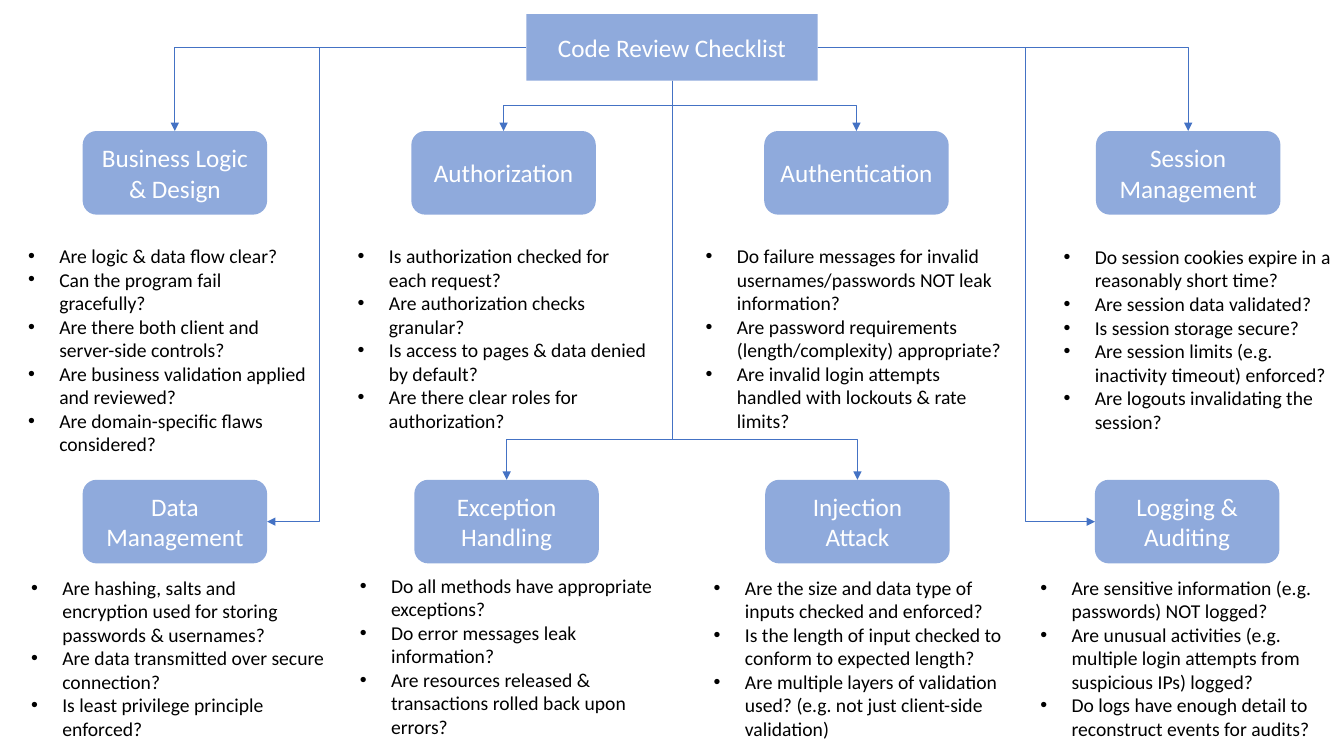
from dataclasses import dataclass

from lxml.etree import SubElement
from pptx import Presentation
from pptx.dml.color import RGBColor
from pptx.enum.shapes import MSO_CONNECTOR, MSO_SHAPE
from pptx.enum.text import MSO_ANCHOR, MSO_AUTO_SIZE, PP_ALIGN
from pptx.oxml import parse_xml
from pptx.oxml.ns import nsdecls, qn
from pptx.util import Inches, Pt


@dataclass(frozen=True)
class Theme:
    """Colours, font and type sizes of the slide."""
    node: RGBColor = RGBColor(0x8F, 0xAA, 0xDC)
    node_text: RGBColor = RGBColor(0xFF, 0xFF, 0xFF)
    body_text: RGBColor = RGBColor(0, 0, 0)
    connector: RGBColor = RGBColor(0x44, 0x72, 0xC4)
    font: str = "Calibri"
    node_size: Pt = Pt(18)
    body_size: Pt = Pt(14)
    line_width: Pt = Pt(0.5)


THEME = Theme()
ROOT_LEFT, ROOT_TOP, ROOT_WIDTH, ROOT_HEIGHT = 5.22, 0.14, 2.89, 0.66
ROOT_RIGHT, ROOT_BOTTOM = ROOT_LEFT + ROOT_WIDTH, ROOT_TOP + ROOT_HEIGHT
ROOT_CENTER, ROOT_MIDDLE = ROOT_LEFT + ROOT_WIDTH / 2, ROOT_TOP + ROOT_HEIGHT / 2
NODE_WIDTH, NODE_HEIGHT = 1.83, 0.83
UPPER_ROW, LOWER_ROW = 1.3, 4.76
BULLET_INDENT = 0.31

TOPICS = [
    ("Business Logic & Design", (0.82, UPPER_ROW), (0.18, 2.37, 2.96, 2.22), [
        "Are logic & data flow clear?",
        "Can the program fail gracefully?",
        "Are there both client and server-side controls?",
        "Are business validation applied and reviewed?",
        "Are domain-specific flaws considered?"]),
    ("Authorization", (4.08, UPPER_ROW), (3.45, 2.37, 3.1, 1.99), [
        "Is authorization checked for each request?",
        "Are authorization checks granular?",
        "Is access to pages & data denied by default?",
        "Are there clear roles for authorization?"]),
    ("Authentication", (7.58, UPPER_ROW), (6.9, 2.37, 3.2, 1.99), [
        "Do failure messages for invalid usernames/passwords NOT leak information?",
        "Are password requirements (length/complexity) appropriate?",
        "Are invalid login attempts handled with lockouts & rate limits?"]),
    ("Session Management", (10.87, UPPER_ROW), (10.45, 2.38, 2.89, 1.99), [
        "Do session cookies expire in a reasonably short time?",
        "Are session data validated?",
        "Is session storage secure?",
        "Are session limits (e.g. inactivity timeout) enforced?",
        "Are logouts invalidating the session?"]),
    ("Data Management", (0.82, LOWER_ROW), (0.21, 5.66, 3.11, 1.75), [
        "Are hashing, salts and encryption used for storing passwords & usernames?",
        "Are data transmitted over secure connection?",
        "Is least privilege principle enforced?"]),
    ("Exception Handling", (4.11, LOWER_ROW), (3.47, 5.64, 3.35, 1.75), [
        "Do all methods have appropriate exceptions?",
        "Do error messages leak information?",
        "Are resources released & transactions rolled back upon errors?"]),
    ("Injection Attack", (7.59, LOWER_ROW), (6.98, 5.66, 3.11, 1.75), [
        "Are the size and data type of inputs checked and enforced?",
        "Is the length of input checked to conform to expected length?",
        "Are multiple layers of validation used? (e.g. not just client-side validation)"]),
    ("Logging & Auditing", (10.86, LOWER_ROW), (10.22, 5.66, 3.1, 1.75), [
        "Are sensitive information (e.g. passwords) NOT logged?",
        "Are unusual activities (e.g. multiple login attempts from suspicious IPs) logged?",
        "Do logs have enough detail to reconstruct events for audits?"]),
]


def format_font(font, size, color):
    """Apply the theme font with a size and colour."""
    font.name = THEME.font
    font.size = size
    font.color.rgb = color


def format_node(shape, text):
    """Fill a diagram node and centre its label."""
    shape.fill.solid()
    shape.fill.fore_color.rgb = THEME.node
    shape.line.fill.background()
    frame = shape.text_frame
    frame.text = text
    frame.word_wrap = True
    frame.auto_size = MSO_AUTO_SIZE.NONE
    frame.vertical_anchor = MSO_ANCHOR.MIDDLE
    paragraph = frame.paragraphs[0]
    paragraph.alignment = PP_ALIGN.CENTER
    format_font(paragraph.font, THEME.node_size, THEME.node_text)


def place_title(slide, text):
    """Turn the title placeholder into the rounded root node."""
    title = slide.shapes.title
    title.left, title.top = Inches(ROOT_LEFT), Inches(ROOT_TOP)
    title.width, title.height = Inches(ROOT_WIDTH), Inches(ROOT_HEIGHT)
    title._element.spPr.find(qn("a:xfrm")).addnext(parse_xml(
        f'<a:prstGeom {nsdecls("a")} prst="flowChartAlternateProcess"><a:avLst/></a:prstGeom>'))
    format_node(title, text)


def add_node(slide, text, left, top):
    """Add one topic node."""
    shape = slide.shapes.add_shape(
        MSO_SHAPE.FLOWCHART_ALTERNATE_PROCESS,
        Inches(left), Inches(top), Inches(NODE_WIDTH), Inches(NODE_HEIGHT))
    shape.shadow.inherit = False
    format_node(shape, text)


def add_questions(slide, box, questions):
    """Add a bulleted list of review questions."""
    frame = slide.shapes.add_textbox(*map(Inches, box)).text_frame
    frame.word_wrap = True
    frame.auto_size = MSO_AUTO_SIZE.SHAPE_TO_FIT_TEXT
    frame.text = "\n".join(questions)
    for paragraph in frame.paragraphs:
        properties = paragraph._p.get_or_add_pPr()
        properties.set("marL", str(Inches(BULLET_INDENT)))
        properties.set("indent", str(-Inches(BULLET_INDENT)))
        SubElement(properties, qn("a:buFont")).set("typeface", "Arial")
        SubElement(properties, qn("a:buChar")).set("char", "•")
        format_font(paragraph.font, THEME.body_size, THEME.body_text)


def add_elbow(slide, begin, end, bend=None):
    """Add an elbow arrow, with one corner or a bend at a fraction of the way."""
    connector = slide.shapes.add_connector(
        MSO_CONNECTOR.ELBOW, *map(Inches, (*begin, *end)))
    connector.line.color.rgb = THEME.connector
    connector.line.width = THEME.line_width
    properties = connector._element.spPr
    SubElement(properties.find(qn("a:ln")), qn("a:tailEnd")).set("type", "triangle")
    SubElement(properties, qn("a:effectLst"))
    geometry = properties.find(qn("a:prstGeom"))
    if bend is None:
        geometry.set("prst", "bentConnector2")
    else:
        guide = SubElement(geometry.find(qn("a:avLst")), qn("a:gd"))
        guide.set("name", "adj1")
        guide.set("fmla", f"val {round(bend * 100000)}")
    return connector


def add_side_arrow(slide, begin, end, bend_x):
    """Add an arrow that leaves and arrives sideways."""
    add_elbow(slide, begin, end, (bend_x - begin[0]) / (end[0] - begin[0]))


def add_drop_arrow(slide, begin, end, bend_y):
    """Add an arrow that leaves and arrives downwards, by turning an elbow."""
    center_x, center_y = (begin[0] + end[0]) / 2, (begin[1] + end[1]) / 2
    goes_right = end[0] > begin[0]
    half_length = (end[1] - begin[1]) / 2 * (-1 if goes_right else 1)
    half_span = abs(end[0] - begin[0]) / 2
    connector = add_elbow(
        slide,
        (center_x - half_length, center_y - half_span),
        (center_x + half_length, center_y + half_span),
        (bend_y - begin[1]) / (end[1] - begin[1]))
    turn = 270 if goes_right else 90
    connector._element.spPr.find(qn("a:xfrm")).set("rot", str(turn * 60000))


def add_arrows(slide):
    """Connect the root node to every topic."""
    places = {name: place for name, place, _, _ in TOPICS}
    left_port, right_port = (ROOT_LEFT, ROOT_MIDDLE), (ROOT_RIGHT, ROOT_MIDDLE)
    for name, port in (("Business Logic & Design", left_port),
                       ("Session Management", right_port)):
        left, top = places[name]
        add_elbow(slide, port, (left + NODE_WIDTH / 2, top))
    for name, bend_y in (("Authorization", 1.05), ("Authentication", 1.05),
                         ("Exception Handling", 4.36), ("Injection Attack", 4.36)):
        left, top = places[name]
        add_drop_arrow(slide, (ROOT_CENTER, ROOT_BOTTOM),
                       (left + NODE_WIDTH / 2, top), bend_y)
    for name, port, edge, bend_x in (("Data Management", left_port, NODE_WIDTH, 3.17),
                                     ("Logging & Auditing", right_port, 0, 10.17)):
        left, top = places[name]
        add_side_arrow(slide, port, (left + edge, top + NODE_HEIGHT / 2), bend_x)


def main():
    """Build and save the checklist slide."""
    presentation = Presentation()
    presentation.slide_width, presentation.slide_height = Inches(13.33), Inches(7.5)
    slide = presentation.slides.add_slide(presentation.slide_layouts[5])
    place_title(slide, "Code Review Checklist")
    for name, place, box, questions in TOPICS:
        add_node(slide, name, *place)
        add_questions(slide, box, questions)
    add_arrows(slide)
    presentation.save("out.pptx")


main()
